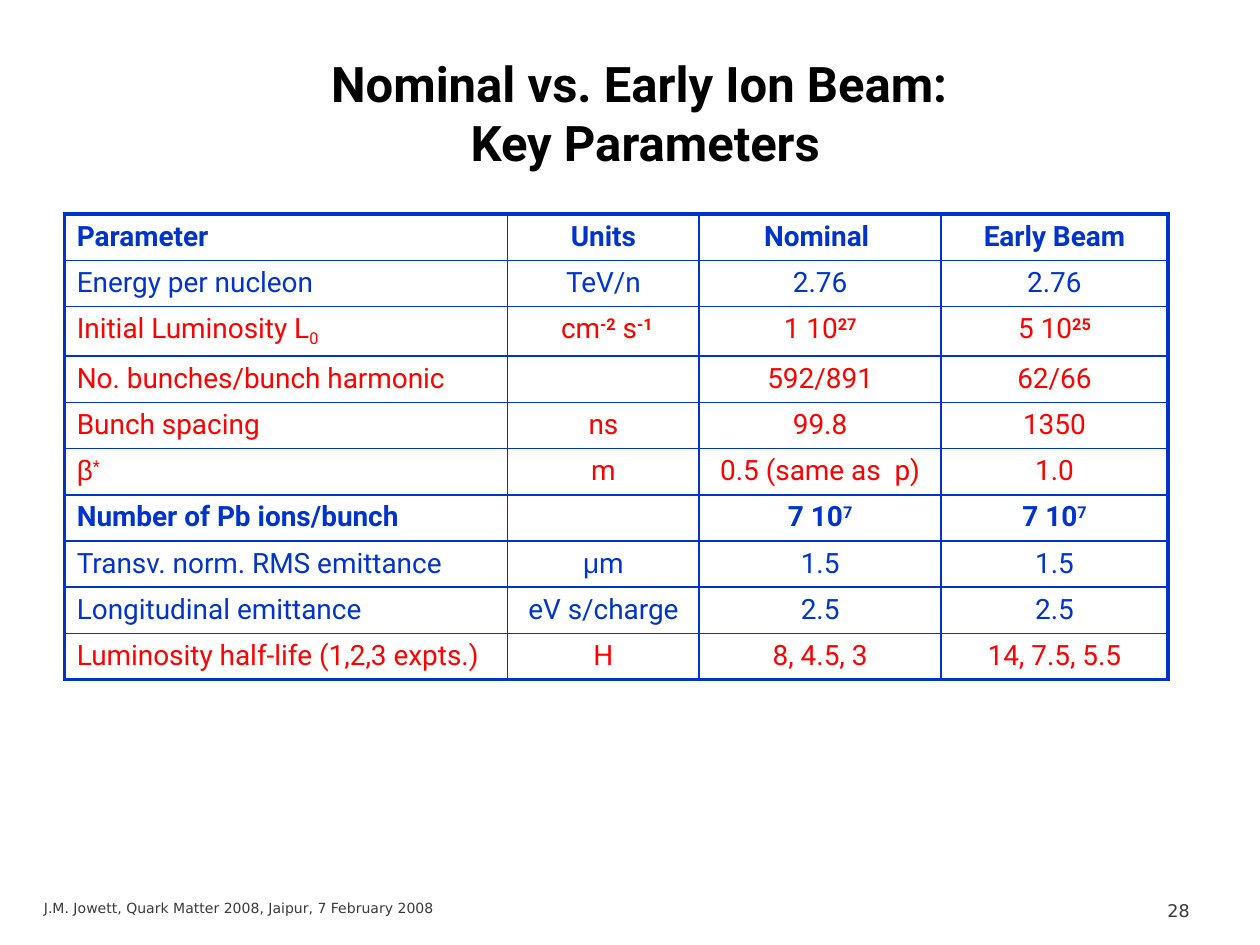
"""Build the slide comparing nominal and early ion beam parameters."""
import pptx
import pptx.dml.color
import pptx.enum.text
import pptx.oxml.ns
import pptx.util
from lxml import etree

BLUE = pptx.dml.color.RGBColor(0x00, 0x33, 0xCC)
RED = pptx.dml.color.RGBColor(0xFF, 0x00, 0x00)
BLACK = pptx.dml.color.RGBColor(0x00, 0x00, 0x00)
GREY = pptx.dml.color.RGBColor(0x39, 0x39, 0x39)
LEFT = pptx.enum.text.PP_ALIGN.LEFT
CENTER = pptx.enum.text.PP_ALIGN.CENTER
RIGHT = pptx.enum.text.PP_ALIGN.RIGHT
TOP = pptx.enum.text.MSO_ANCHOR.TOP
BOTTOM = pptx.enum.text.MSO_ANCHOR.BOTTOM

WIDTH, HEIGHT = 10, 7.5
TEXTS = [
    ("J.M. Jowett, Quark Matter 2008, Jaipur, 7 February 2008", (0.25, 7.09, 4.75, 0.25), TOP,
     dict(size=8, font="DejaVu Sans", color=GREY)),
    ("28", (7.46, 7.09, 2.08, 0.25), TOP,
     dict(size=10, font="DejaVu Sans", color=GREY, align=RIGHT)),
    ("Nominal vs. Early Ion Beam: \nKey Parameters", (1.22, 0.25, 7.8, 1.16), BOTTOM,
     dict(size=28, color=BLACK, bold=True, align=CENTER)),
]

TABLE_LEFT, TABLE_TOP, ROW_HEIGHT = 0.51, 1.7, 0.36
COLUMNS = [3.52, 1.52, 1.92, 1.8]
ROWS = [
    (BLUE, True, ["Parameter", "Units", "Nominal ", "Early Beam"]),
    (BLUE, False, ["Energy per nucleon", "TeV/n", "2.76", "2.76"]),
    (RED, False, ["Initial Luminosity L|_0", " cm|!-2| s|!-1", "1 10|!27", "5 10|!25"]),
    (RED, False, ["No. bunches/bunch harmonic", "", "592/891", "62/66"]),
    (RED, False, ["Bunch spacing", "ns", "99.8", "1350"]),
    (RED, False, ["~β|^*", "m", "0.5 (same as  p)", "1.0"]),
    (BLUE, True, ["Number of Pb ions/bunch", "", "7 10|^7", "7 10|^7"]),
    (BLUE, False, ["Transv. norm. RMS emittance", "~μ|m", "1.5", "1.5"]),
    (BLUE, False, ["Longitudinal emittance", "eV s/charge", "2.5", "2.5"]),
    (RED, False, ["Luminosity half-life (1,2,3 expts.)", "H", "8, 4.5, 3", "14, 7.5, 5.5"]),
]
MARKS = {
    "^": dict(baseline=30),
    "!": dict(baseline=30, bold=True),
    "_": dict(baseline=-20),
    "~": dict(font="Arial"),
}


def write(frame, text, size=16, font="Roboto", color=BLUE, bold=False, align=LEFT):
    """Fill a text frame; "|" separates spans and a leading mark sets a span's format."""
    para = frame.paragraphs[0]
    para.alignment = align
    if not text:
        etree.SubElement(para._p, pptx.oxml.ns.qn("a:endParaRPr"), sz=str(size * 100))
        return
    for number, line in enumerate(text.split("\n")):
        if number:
            para.add_line_break()
        for part in line.split("|"):
            style = MARKS.get(part[0], {})
            span = para.add_run()
            span.text = part[1:] if style else part
            span.font.size = pptx.util.Pt(size)
            span.font.name = style.get("font", font)
            span.font.bold = style.get("bold", bold)
            span.font.color.rgb = color
            if "baseline" in style:
                span.font._element.set("baseline", str(style["baseline"] * 1000))


def add_borders(cell, outer_sides):
    """Draw the four cell edges, thicker where they lie on the table's outline."""
    properties = cell._tc.get_or_add_tcPr()
    for side in "LRTB":
        points = 2.25 if side in outer_sides else 1
        edge = etree.SubElement(properties, pptx.oxml.ns.qn("a:ln" + side),
                                w=str(pptx.util.Pt(points)))
        fill = etree.SubElement(edge, pptx.oxml.ns.qn("a:solidFill"))
        etree.SubElement(fill, pptx.oxml.ns.qn("a:srgbClr"), val=str(BLUE))


def add_parameters(page):
    """Add the parameter table."""
    shape = page.shapes.add_table(
        len(ROWS), len(COLUMNS), *map(pptx.util.Inches, (
            TABLE_LEFT, TABLE_TOP, sum(COLUMNS), ROW_HEIGHT * len(ROWS))))
    table = shape.table
    table.first_row = table.horz_banding = False
    for column, width in zip(table.columns, COLUMNS):
        column.width = pptx.util.Inches(width)
    for r, (color, bold, texts) in enumerate(ROWS):
        table.rows[r].height = pptx.util.Inches(ROW_HEIGHT)
        for c, text in enumerate(texts):
            cell = table.cell(r, c)
            outline = {"L": c == 0, "R": c == len(COLUMNS) - 1,
                       "T": r == 0, "B": r == len(ROWS) - 1}
            add_borders(cell, [side for side, outer in outline.items() if outer])
            cell.fill.background()
            write(cell.text_frame, text, color=color, bold=bold, align=CENTER if c else LEFT)


def main():
    """Assemble and save the deck."""
    deck = pptx.Presentation()
    deck.slide_width = pptx.util.Inches(WIDTH)
    deck.slide_height = pptx.util.Inches(HEIGHT)
    page = deck.slides.add_slide(deck.slide_layouts[6])
    for text, place, anchor, style in TEXTS:
        box = page.shapes.add_textbox(*map(pptx.util.Inches, place))
        box.text_frame.word_wrap = True
        box.text_frame.vertical_anchor = anchor
        write(box.text_frame, text, **style)
    add_parameters(page)
    deck.save("out.pptx")


if __name__ == "__main__":
    main()
